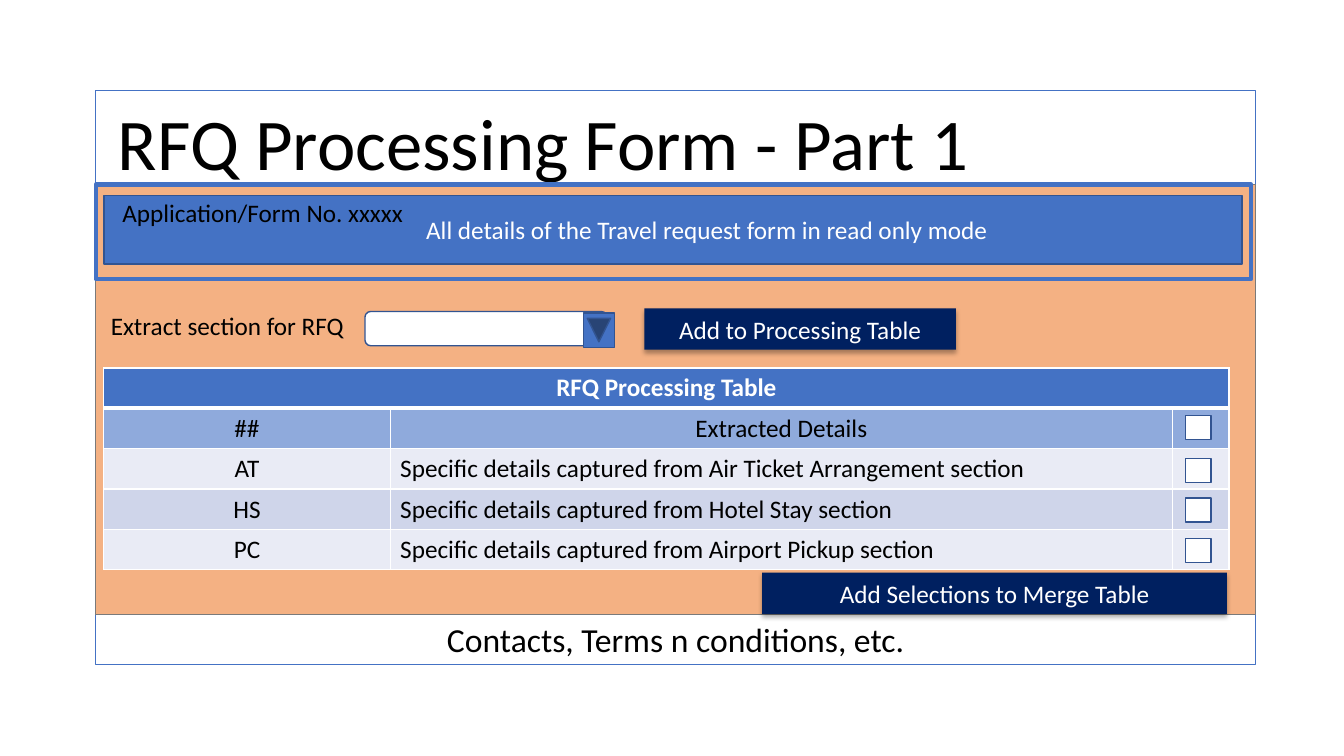
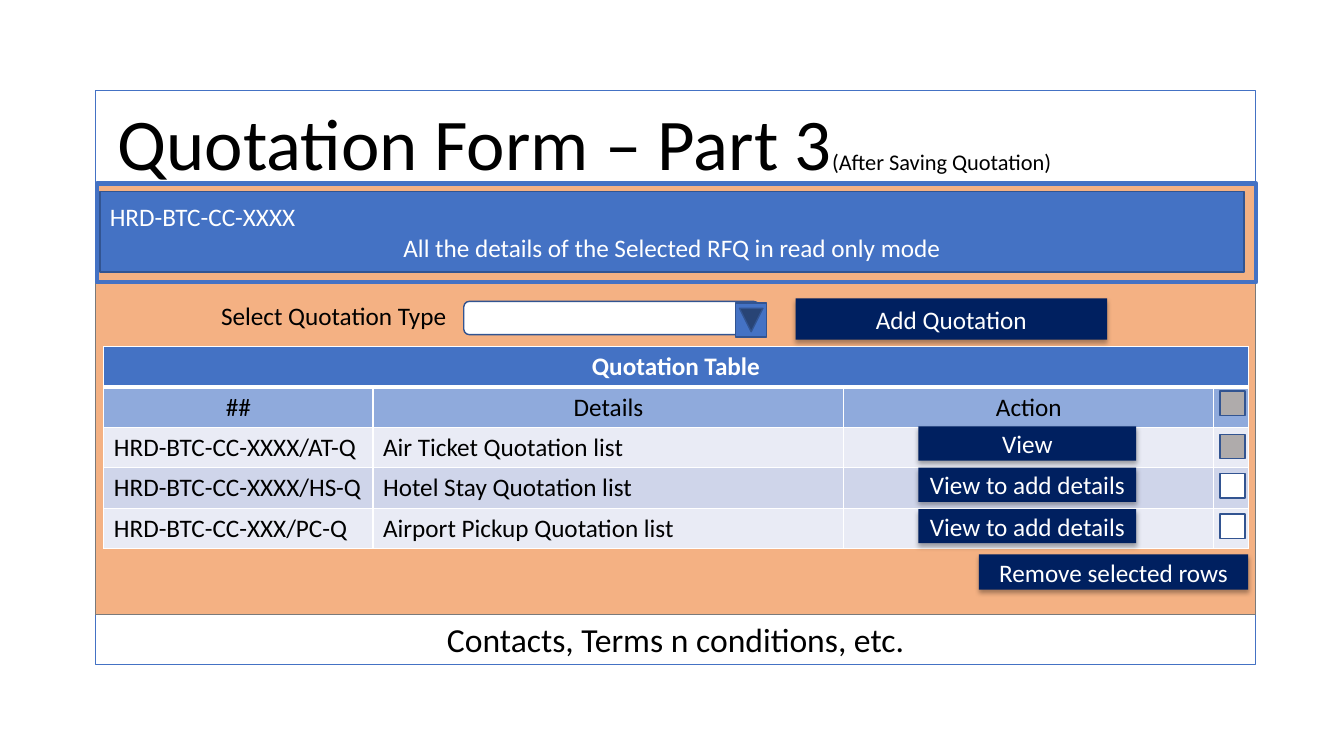
import pptx
import pptx.util
import pptx.dml.color
import pptx.enum.shapes
import pptx.enum.text
import pptx.oxml
import pptx.oxml.ns

PX = 9144  # EMU per px, 100 px to the inch
FONT = "Calibri"
WHITE, BLACK, BLUE, EDGE = "FFFFFF", "000000", "4472C4", "325491"
ORANGE, GREY_LINE, NAVY, GREY = "F4B183", "7A7A7A", "002060", "AFABAB"
ROW_FILLS = [BLUE, "8FAADC", "E9EBF5", "CFD5EA", "E9EBF5"]
ROW_H = 40
CHECK_W, CHECK_H = 25, 24
CHECK_STEPS = (0, 43, 82, 122)  # below the first check box
MSO = pptx.enum.shapes.MSO_SHAPE
ALIGN = {"l": pptx.enum.text.PP_ALIGN.LEFT, "c": pptx.enum.text.PP_ALIGN.CENTER}
ANCHOR = pptx.enum.text.MSO_ANCHOR
FOOTER = "Contacts, Terms n conditions, etc."

# Content: boxes are (left, top, width, height); paragraphs are (align, text)
SLIDES = [
    {
        "title": [("RFQ Processing Form - Part 1", 52)],
        "frame": (95, 183, 1146, 94),
        "banner": (103, 194, 1129, 68),
        "banner_text": [("c", "All details of the Travel request form in read only mode")],
        "banner_inset": 77,
        "labels": [
            ("Application/Form No. xxxxx", (104, 191, 313, 40)),
            ("Extract section for RFQ", (89, 303, 273, 40)),
        ],
        "dropdown": (362, 309, 240, 34),
        "buttons": [
            ("Add to Processing Table", (639, 306, 309, 41)),
            ("Add Selections to Merge Table", (756, 568, 461, 41)),
        ],
        "table_at": (103, 365),
        "cols": [284, 776, 56],
        "aligns": "cll",
        "rows": [
            ["RFQ Processing Table"],
            ["##", "Extracted Details", ""],
            ["AT", "Specific details captured from Air Ticket Arrangement section", ""],
            ["HS", "Specific details captured from Hotel Stay section", ""],
            ["PC", "Specific details captured from Airport Pickup section", ""],
        ],
        "checks_at": (1176, 412),
        "check_fills": [WHITE] * 4,
    },
    {
        "title": [("Quotation Form – Part 3", 52), ("(After Saving Quotation)", 16)],
        "frame": (96, 182, 1150, 98),
        "banner": (99, 190, 1135, 80),
        "banner_text": [("l", "HRD-BTC-CC-XXXX"),
                        ("c", "All the details of the Selected RFQ in read only mode")],
        "banner_inset": 10,
        "labels": [("Select Quotation Type", (208, 293, 246, 40))],
        "dropdown": (460, 299, 293, 33),
        "buttons": [
            ("Add Quotation", (789, 296, 309, 41)),
            ("Remove selected rows", (971, 550, 267, 35)),
        ] + [(text, (911, 423 + 41 * i, 216, 34)) for i, text in enumerate(
            ["View", "View to add details", "View to add details"])],
        "table_at": (103, 344),
        "cols": [267, 467, 367, 34],
        "aligns": "llll",
        "rows": [
            ["Quotation Table"],
            ["##", "Details", "Action", ""],
            ["HRD-BTC-CC-XXXX/AT-Q", "Air Ticket Quotation list", "", ""],
            ["HRD-BTC-CC-XXXX/HS-Q", "Hotel Stay Quotation list", "", ""],
            ["HRD-BTC-CC-XXX/PC-Q", "Airport Pickup Quotation list", "", ""],
        ],
        "checks_at": (1210, 388),
        "check_fills": [GREY, GREY, WHITE, WHITE],
    },
]


def rgb(value):
    return pptx.dml.color.RGBColor.from_string(value)


def emu(box):
    return [v * PX for v in box]


def write(p, runs, align="l", color=BLACK, bold=False):
    """Fill a paragraph with (text, size) runs."""
    p.alignment = ALIGN[align]
    for text, size in runs:
        r = p.add_run()
        r.text = text
        look = {"name": FONT, "size": pptx.util.Pt(size), "bold": bold}
        for key, value in look.items():
            setattr(r.font, key, value)
        r.font.color.rgb = rgb(color)


def add_text(s, box, runs, align="l", wrap=True):
    tf = s.shapes.add_textbox(*emu(box)).text_frame
    tf.word_wrap = wrap
    write(tf.paragraphs[0], runs, align)


def add_box(s, box, fill=None, line=None, width=1, kind=MSO.RECTANGLE):
    sp = s.shapes.add_shape(kind, *emu(box))
    sp.shadow.inherit = False
    if fill:
        sp.fill.solid()
        sp.fill.fore_color.rgb = rgb(fill)
    else:
        sp.fill.background()
    if line:
        sp.line.color.rgb = rgb(line)
        sp.line.width = pptx.util.Pt(width)
    else:
        sp.line.fill.background()
    return sp


def fill_text(sp, paragraphs):
    """Put white 18 pt paragraphs in the middle of a shape."""
    tf = sp.text_frame
    tf.word_wrap = True
    tf.vertical_anchor = ANCHOR.MIDDLE
    for i, (align, text) in enumerate(paragraphs):
        p = tf.add_paragraph() if i else tf.paragraphs[0]
        write(p, [(text, 18)], align, WHITE)


def add_button(s, text, box):
    sp = add_box(s, box, NAVY)
    fill_text(sp, [("c", text)])
    effects = sp._element.spPr.find(pptx.oxml.ns.qn("a:effectLst"))
    effects.append(pptx.oxml.parse_xml(
        f'<a:outerShdw {pptx.oxml.ns.nsdecls("a")} blurRad="44450" dist="27940" '
        'dir="5400000" algn="ctr" rotWithShape="0"><a:srgbClr val="000000">'
        '<a:alpha val="32000"/></a:srgbClr></a:outerShdw>'))


def add_dropdown(s, box):
    left, top, width, height = box
    add_box(s, box, WHITE, EDGE, kind=MSO.ROUNDED_RECTANGLE)
    arrow = add_box(s, (left + width - 25, top + 3, 34, 31), BLUE, EDGE,
                    kind=MSO.ACTION_BUTTON_FORWARD_OR_NEXT)
    arrow.rotation = 90


def set_borders(cell, widths):
    tc_pr = cell._tc.get_or_add_tcPr()
    for i, (side, width) in enumerate(widths.items()):
        tc_pr.insert(i, pptx.oxml.parse_xml(
            f'<a:ln{side} {pptx.oxml.ns.nsdecls("a")} w="{pptx.util.Pt(width)}">'
            f'<a:solidFill><a:srgbClr val="{WHITE}"/></a:solidFill></a:ln{side}>'))


def add_grid(s, at, cols, rows, aligns):
    size = (sum(cols), ROW_H * len(rows))
    table = s.shapes.add_table(len(rows), len(cols), *emu(at + size)).table
    for column, width in zip(table.columns, cols):
        column.width = width * PX
    for i, texts in enumerate(rows):
        table.rows[i].height = ROW_H * PX
        for j in range(len(cols)):
            cell = table.cell(i, j)
            cell.fill.solid()
            cell.fill.fore_color.rgb = rgb(ROW_FILLS[i])
            set_borders(cell, {"L": 1, "R": 1, "T": 3 if i == 1 else 1,
                               "B": 3 if i == 0 else 1})
            if j < len(texts) and texts[j]:
                write(cell.text_frame.paragraphs[0], [(texts[j], 18)],
                      "c" if i < 2 else aligns[j],
                      BLACK if i else WHITE, i == 0)
    table.cell(0, 0).merge(table.cell(0, len(cols) - 1))


def add_form_base(s, title):
    """Page, orange panel, title and footer shared by the slides."""
    add_box(s, (95, 90, 1150, 569), WHITE, BLUE)
    add_box(s, (95, 183, 1150, 427), ORANGE, GREY_LINE)
    add_text(s, (107, 92, 1112, 98), title)
    add_text(s, (94, 609, 1152, 50), [(FOOTER, 24)], "c")


def build_slide(prs, d):
    s = prs.slides.add_slide(prs.slide_layouts[6])
    add_form_base(s, d["title"])
    # Read-only banner
    add_box(s, d["frame"], None, BLUE, 3)
    banner = add_box(s, d["banner"], BLUE, EDGE)
    banner.text_frame.margin_left = d["banner_inset"] * PX
    fill_text(banner, d["banner_text"])
    # Selection row
    for text, box in d["labels"]:
        add_text(s, box, [(text, 18)], "c", wrap=False)
    add_dropdown(s, d["dropdown"])
    # Table with check boxes and buttons on top
    add_grid(s, d["table_at"], d["cols"], d["rows"], d["aligns"])
    left, top = d["checks_at"]
    for step, fill in zip(CHECK_STEPS, d["check_fills"]):
        add_box(s, (left, top + step, CHECK_W, CHECK_H), fill, EDGE)
    for text, box in d["buttons"]:
        add_button(s, text, box)


def main():
    prs = pptx.Presentation()
    prs.slide_width, prs.slide_height = emu((1333, 750))
    for d in SLIDES:
        build_slide(prs, d)
    prs.save("out.pptx")


if __name__ == "__main__":
    main()
